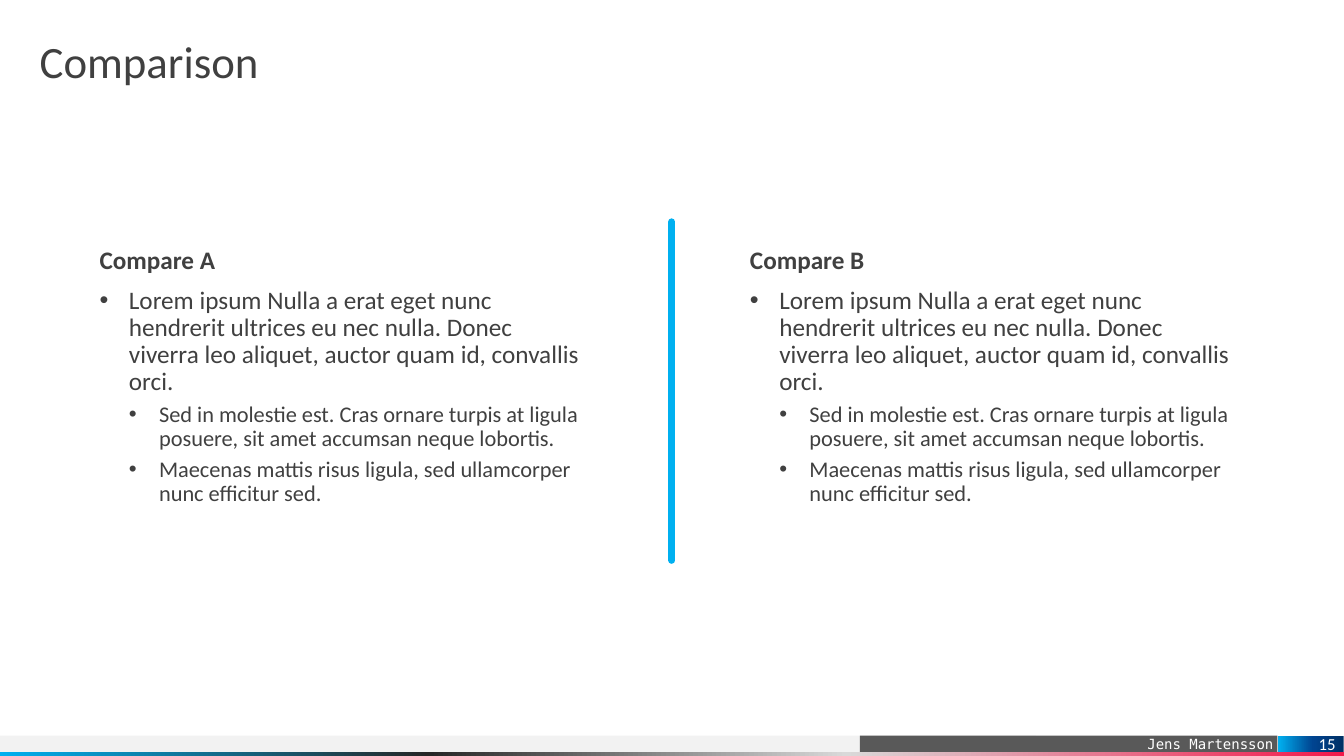
from lxml.etree import SubElement
from pptx import Presentation
from pptx.dml.color import RGBColor
from pptx.enum.shapes import MSO_CONNECTOR, MSO_SHAPE
from pptx.enum.text import MSO_ANCHOR, MSO_AUTO_SIZE, PP_ALIGN
from pptx.oxml.ns import qn
from pptx.util import Cm, Pt

WHITE = RGBColor(0xFF, 0xFF, 0xFF)
INK = RGBColor(0x40, 0x40, 0x40)
PALE = RGBColor(0xF2, 0xF2, 0xF2)
GREY = RGBColor(0x59, 0x59, 0x59)
SILVER = RGBColor(0xD9, 0xD9, 0xD9)
DARK = RGBColor(0x26, 0x26, 0x26)
RED = RGBColor(0xF2, 0x19, 0x4A)
SKY = RGBColor(0x00, 0xB0, 0xF0)
BLUE = RGBColor(0x00, 0x44, 0x90)
NAVY = RGBColor(0x00, 0x30, 0x65)

FONT, MONO = "Calibri", "DejaVu Sans Mono"
POINTS = [
    (0, "Lorem ipsum Nulla a erat eget nunc hendrerit ultrices eu nec nulla. "
        "Donec viverra leo aliquet, auctor quam id, convallis orci."),
    (1, "Sed in molestie est. Cras ornare turpis at ligula posuere, "
        "sit amet accumsan neque lobortis."),
    (1, "Maecenas mattis risus ligula, sed ullamcorper nunc efficitur sed."),
]
LEVELS = [
    dict(size=18, before=10, indent=(0.74, -0.74)),
    dict(size=16, before=5, indent=(1.5, -0.76)),
]


def write(p, text, size=18, font=FONT, color=INK, bold=False,
          align=PP_ALIGN.LEFT, spacing=0.9, before=0, indent=None):
    """Put formatted text in a paragraph, bulleted when an indent is given."""
    p.alignment, p.line_spacing, p.space_before = align, spacing, Pt(before)
    r = p.add_run()
    r.text = text
    r.font.name, r.font.size, r.font.bold = font, Pt(size), bold
    r.font.color.rgb = color
    if indent:
        pPr = p._p.get_or_add_pPr()
        pPr.set("marL", str(Cm(indent[0])))
        pPr.set("indent", str(Cm(indent[1])))
        SubElement(pPr, qn("a:buFont"), typeface="Arial")
        SubElement(pPr, qn("a:buChar"), char="•")


class Deck:
    """Holds the presentation, its style and the current slide."""

    def __init__(self, width, height):
        """Start a presentation of the given size."""
        self.prs = Presentation()
        self.prs.slide_width, self.prs.slide_height = Cm(width), Cm(height)
        self.s = None

    def frame(self, sp, anchor=MSO_ANCHOR.TOP, left=0, right=0):
        """Set up the text frame of a shape and return it."""
        tf = sp.text_frame
        tf.word_wrap, tf.auto_size = True, MSO_AUTO_SIZE.NONE
        tf.vertical_anchor = anchor
        tf.margin_left, tf.margin_right = Cm(left), Cm(right)
        tf.margin_top = tf.margin_bottom = 0
        return tf

    def slide(self, title, x, y, w, h):
        """Add a slide with a placed title."""
        self.s = self.prs.slides.add_slide(self.prs.slide_layouts[5])
        sp = self.s.shapes.title
        sp.left, sp.top, sp.width, sp.height = Cm(x), Cm(y), Cm(w), Cm(h)
        write(self.frame(sp).paragraphs[0], title, size=32)

    def bar(self, x, y, w, h, *stops):
        """Add a bar in one colour or with (position, colour) stops from the right."""
        sp = self.s.shapes.add_shape(MSO_SHAPE.RECTANGLE, Cm(x), Cm(y), Cm(w), Cm(h))
        sp.shadow.inherit = False
        sp.line.fill.background()
        if len(stops) == 1:
            sp.fill.solid()
            sp.fill.fore_color.rgb = stops[0]
            return sp
        sp.fill.gradient()
        sp.fill.gradient_angle = 180
        gs_list = sp._element.spPr.find(".//" + qn("a:gsLst"))
        gs_list.clear()
        for pos, color in stops:
            gs = SubElement(gs_list, qn("a:gs"), pos=str(pos * 1000))
            SubElement(gs, qn("a:srgbClr"), val=str(color))
        return sp

    def label(self, sp, text, anchor, left, right, **style):
        """Write right-aligned white text in a bar."""
        tf = self.frame(sp, anchor, left, right)
        write(tf.paragraphs[0], text, color=WHITE, align=PP_ALIGN.RIGHT,
              spacing=1.0, **style)

    def textbox(self, x, y, w, h):
        """Add a text box and return its frame."""
        return self.frame(self.s.shapes.add_textbox(Cm(x), Cm(y), Cm(w), Cm(h)))

    def column(self, x, heading, points):
        """Add a heading with bulleted points below it."""
        tf = self.textbox(x, 6.25, 12.27, 0.99)
        write(tf.paragraphs[0], heading, bold=True, before=10)
        tf = self.textbox(x, 7.24, 12.27, 5.87)
        for i, (level, text) in enumerate(points):
            p = tf.add_paragraph() if i else tf.paragraphs[0]
            p.level = level
            write(p, text, **LEVELS[level])

    def divider(self, x, top, bottom):
        """Add a vertical line with round ends."""
        cn = self.s.shapes.add_connector(
            MSO_CONNECTOR.STRAIGHT, Cm(x), Cm(top), Cm(x), Cm(bottom))
        cn.line.color.rgb, cn.line.width = SKY, Pt(5)
        cn.line._get_or_add_ln().set("cap", "rnd")
        SubElement(cn._element.spPr, qn("a:effectLst"))


def main():
    """Build the comparison slide."""
    deck = Deck(33.87, 19.05)
    deck.slide("Comparison", 1, 1, 31.88, 1.5)

    deck.bar(-0.03, 18.54, 26.14, 0.41, PALE)
    author = deck.bar(21.67, 18.54, 10.52, 0.41, GREY)
    deck.label(author, "Jens Martensson", MSO_ANCHOR.BOTTOM, 0.25, 0.1,
               size=10, font=MONO)
    deck.bar(-0.03, 18.95, 33.9, 0.1,
             (0, RED), (37, SILVER), (68, DARK), (100, SKY))

    deck.column(2.51, "Compare A", POINTS)
    deck.divider(16.93, 5.59, 14.12)
    deck.column(18.9, "Compare B", POINTS)

    number = deck.bar(32.21, 18.54, 1.65, 0.41, (0, NAVY), (47, BLUE), (100, SKY))
    deck.label(number, "15", MSO_ANCHOR.MIDDLE, 0, 0.2, size=12)
    deck.prs.save("out.pptx")


if __name__ == "__main__":
    main()
